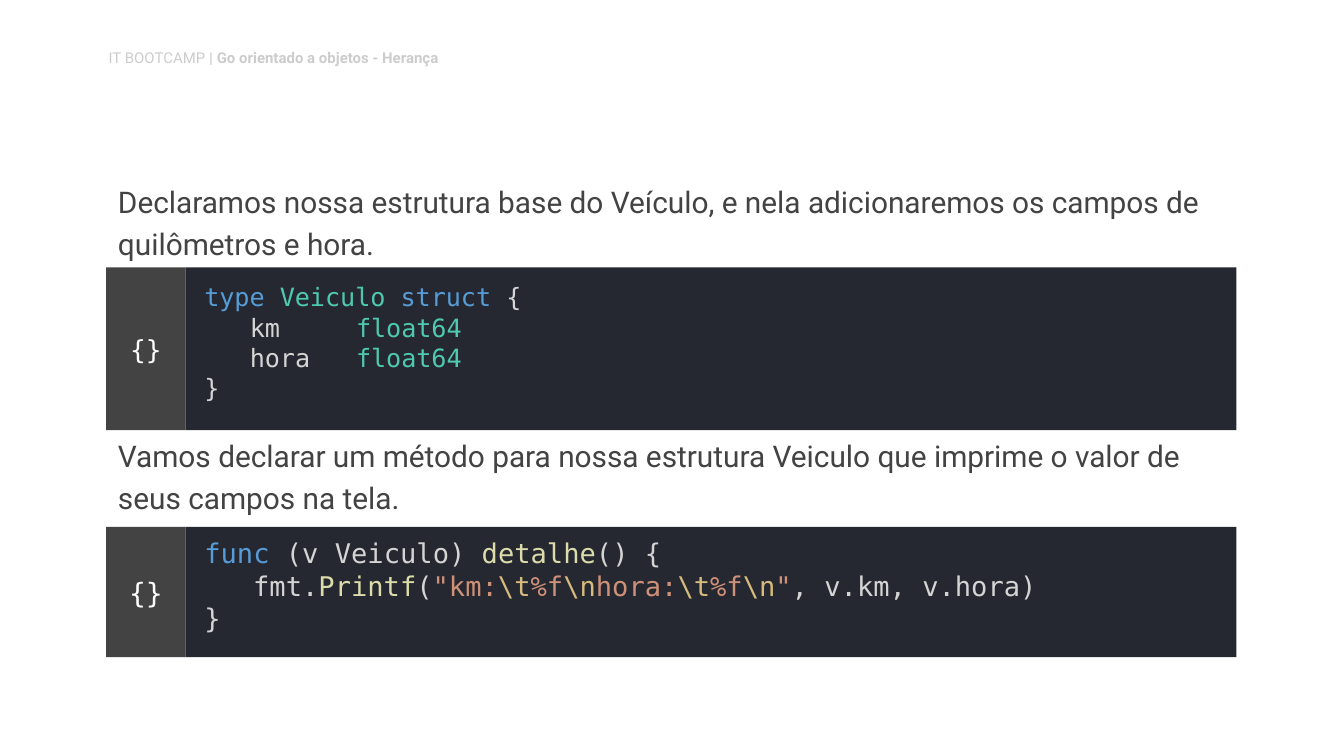
from dataclasses import dataclass

from lxml.etree import SubElement
from pptx import Presentation
from pptx.dml.color import RGBColor
from pptx.enum.shapes import MSO_SHAPE
from pptx.enum.text import MSO_ANCHOR, PP_ALIGN
from pptx.oxml.ns import qn
from pptx.util import Pt


@dataclass(frozen=True)
class Theme:
    """Colours, fonts and type sizes of the slide."""
    body_font: str = "Roboto"
    code_font: str = "DejaVu Sans Mono"
    header_size: float = 8
    body_size: float = 16
    struct_size: float = 13.5
    method_size: float = 14.5
    header: str = "CCCCCC"
    body: str = "434343"
    tab_fill: str = "434343"
    code_fill: str = "262831"
    white: str = "FFFFFF"
    keyword: str = "569CD6"
    type_name: str = "4EC9B0"
    plain: str = "D4D4D4"
    function: str = "DCDCAA"
    string: str = "CE9178"
    escape: str = "D7BA7D"


THEME = Theme()
CHARACTER_WIDTH = 0.602
CODE_COLUMNS = (3, 10)
BLOCK_LEFT, TAB_WIDTH, CODE_WIDTH = 56.88, 42.48, 563.04

STRUCT_LINES = [
    [("type ", THEME.keyword), ("Veiculo ", THEME.type_name),
     ("struct", THEME.keyword), (" {", THEME.plain)],
    [("\tkm\t", THEME.plain), ("float64", THEME.type_name)],
    [("\thora\t", THEME.plain), ("float64", THEME.type_name)],
    [("}", THEME.plain)],
]
METHOD_LINES = [
    [("func", THEME.keyword), (" (v Veiculo) ", THEME.plain),
     ("detalhe", THEME.function), ("() {", THEME.plain)],
    [("\tfmt.", THEME.plain), ("Printf", THEME.function), ("(", THEME.plain),
     ('"km:', THEME.string), ("\\t", THEME.escape), ("%f", THEME.string),
     ("\\n", THEME.escape), ("hora:", THEME.string), ("\\t", THEME.escape),
     ("%f", THEME.string), ("\\n", THEME.escape), ('"', THEME.string),
     (", v.km, v.hora)", THEME.plain)],
    [("}", THEME.plain)],
]


def add_run(paragraph, text, font, size, color, bold=False):
    """Append one formatted run to a paragraph."""
    run = paragraph.add_run()
    run.text = text
    run.font.name = font
    run.font.size = Pt(size)
    run.font.bold = bold
    run.font.color.rgb = RGBColor.from_string(color)


def set_insets(frame, left, top, right, bottom):
    """Wrap a text frame and set its margins in points."""
    frame.word_wrap = True
    frame.margin_left, frame.margin_top = Pt(left), Pt(top)
    frame.margin_right, frame.margin_bottom = Pt(right), Pt(bottom)


def add_text_box(slide, left, top, width, height, vertical_inset):
    """Add a text box and return its first paragraph."""
    shape = slide.shapes.add_textbox(Pt(left), Pt(top), Pt(width), Pt(height))
    set_insets(shape.text_frame, 7.2, vertical_inset, 7.2, vertical_inset)
    return shape.text_frame.paragraphs[0]


def add_header(slide):
    """Add the small course header."""
    paragraph = add_text_box(slide, 51.12, 22.32, 226.08, 19.44, 3.6)
    paragraph.space_after = Pt(12)
    style = (THEME.body_font, THEME.header_size, THEME.header)
    add_run(paragraph, "IT BOOTCAMP", *style)
    add_run(paragraph, " | Go orientado a objetos - Herança", *style, bold=True)


def add_explanation(slide, top, height, text):
    """Add a body sentence above a code block."""
    paragraph = add_text_box(slide, 56.16, top, 606.96, height, 7.2)
    paragraph.line_spacing = 1.15
    add_run(paragraph, text, THEME.body_font, THEME.body_size, THEME.body)


def add_panel(shapes, left, top, width, height, fill):
    """Add a plain filled rectangle and return its text frame."""
    shape = shapes.add_shape(
        MSO_SHAPE.RECTANGLE, Pt(left), Pt(top), Pt(width), Pt(height))
    shape.shadow.inherit = False
    shape.fill.solid()
    shape.fill.fore_color.rgb = RGBColor.from_string(fill)
    shape.line.fill.background()
    shape.text_frame.vertical_anchor = MSO_ANCHOR.MIDDLE
    return shape.text_frame


def add_tab_stops(paragraph, size):
    """Set tab stops at the code columns."""
    tab_list = SubElement(paragraph._p.get_or_add_pPr(), qn("a:tabLst"))
    for column in CODE_COLUMNS:
        position = Pt(column * CHARACTER_WIDTH * size)
        SubElement(tab_list, qn("a:tab"), pos=str(position), algn="l")


def add_code_block(slide, top, height, lines, size):
    """Add a grouped code panel with its braces tab."""
    shapes = slide.shapes.add_group_shape().shapes
    code = add_panel(shapes, BLOCK_LEFT + TAB_WIDTH, top, CODE_WIDTH, height,
                     THEME.code_fill)
    set_insets(code, 10.08, 0, 7.2, 7.2)
    for index, line in enumerate(lines):
        paragraph = code.add_paragraph() if index else code.paragraphs[0]
        paragraph.alignment = PP_ALIGN.LEFT
        add_tab_stops(paragraph, size)
        for text, color in line:
            add_run(paragraph, text, THEME.code_font, size, color)
    braces = add_panel(shapes, BLOCK_LEFT, top, TAB_WIDTH, height, THEME.tab_fill)
    set_insets(braces, 7.2, 7.2, 7.2, 7.2)
    braces.paragraphs[0].alignment = PP_ALIGN.CENTER
    add_run(braces.paragraphs[0], "{}", THEME.code_font, size + 0.5, THEME.white)


def main():
    """Build and save the slide."""
    presentation = Presentation()
    presentation.slide_width, presentation.slide_height = Pt(720), Pt(405)
    slide = presentation.slides.add_slide(presentation.slide_layouts[6])
    add_header(slide)
    add_explanation(slide, 88.56, 57.6,
                    "Declaramos nossa estrutura base do Veículo, e nela "
                    "adicionaremos os campos de quilômetros e hora.")
    add_code_block(slide, 143.28, 87.12, STRUCT_LINES, THEME.struct_size)
    add_explanation(slide, 224.64, 54,
                    "Vamos declarar um método para nossa estrutura Veiculo "
                    "que imprime o valor de seus campos na tela.")
    add_code_block(slide, 282.24, 69.84, METHOD_LINES, THEME.method_size)
    presentation.save("out.pptx")


main()
